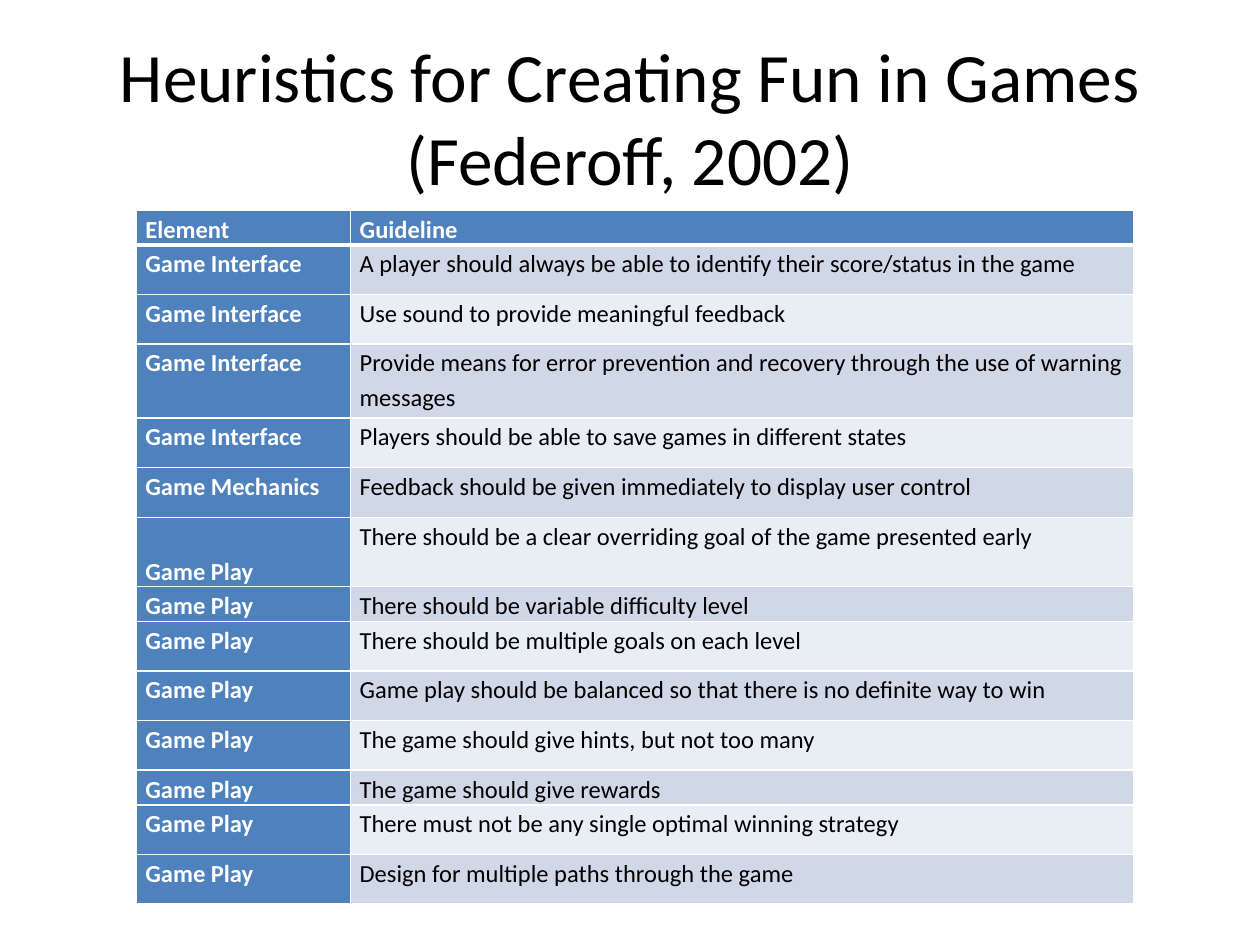
from lxml import etree
from pptx import Presentation
from pptx.dml.color import RGBColor
from pptx.enum.text import MSO_ANCHOR, PP_ALIGN
from pptx.oxml.ns import qn
from pptx.util import Cm, Pt

MIDDLE = MSO_ANCHOR.MIDDLE
TOP = MSO_ANCHOR.TOP
BOTTOM = MSO_ANCHOR.BOTTOM
CENTER = PP_ALIGN.CENTER

SHORT, REGULAR, LOW_LABEL, TWO_LINES = 0.7, 1.0, 1.4, 1.49
TITLE = "Heuristics for Creating Fun in Games (Federoff, 2002)"
GUIDELINES = [
    ("Element", "Guideline", SHORT),
    ("Game Interface", "A player should always be able to identify their score/status in the game", REGULAR),
    ("Game Interface", "Use sound to provide meaningful feedback", REGULAR),
    ("Game Interface", "Provide means for error prevention and recovery through the use of warning messages", TWO_LINES),
    ("Game Interface", "Players should be able to save games in different states", REGULAR),
    ("Game Mechanics", "Feedback should be given immediately to display user control", REGULAR),
    ("Game Play", "There should be a clear overriding goal of the game presented early", LOW_LABEL),
    ("Game Play", "There should be variable difficulty level", SHORT),
    ("Game Play", "There should be multiple goals on each level", REGULAR),
    ("Game Play", "Game play should be balanced so that there is no definite way to win", REGULAR),
    ("Game Play", "The game should give hints, but not too many", REGULAR),
    ("Game Play", "The game should give rewards", SHORT),
    ("Game Play", "There must not be any single optimal winning strategy", REGULAR),
    ("Game Play", "Design for multiple paths through the game", REGULAR),
]


def color(hex_string):
    return RGBColor.from_string(hex_string)


class SlideBuilder:
    font_name = "Calibri"
    dark, light, accent = "000000", "FFFFFF", "4F81BD"
    bands = ("E9EDF4", "D0D8E8")

    def __init__(self, slide):
        self.slide = slide

    def style_font(self, paragraph, size, hex_string, bold=False):
        font = paragraph.font
        font.name, font.size, font.bold = self.font_name, Pt(size), bold
        font.color.rgb = color(hex_string)

    def add_title(self, text, left, top, width, height):
        shape = self.slide.shapes.add_textbox(Cm(left), Cm(top), Cm(width), Cm(height))
        frame = shape.text_frame
        frame.word_wrap = True
        frame.vertical_anchor = MIDDLE
        paragraph = frame.paragraphs[0]
        paragraph.text = text
        paragraph.alignment = CENTER
        self.style_font(paragraph, 39.6, self.dark)

    def add_borders(self, cell, top, bottom):
        properties = cell._tc.get_or_add_tcPr()
        widths = {"a:lnL": 1, "a:lnR": 1, "a:lnT": top, "a:lnB": bottom}
        for position, (tag, width) in enumerate(widths.items()):
            line = etree.Element(qn(tag), w=str(Pt(width)))
            fill = etree.SubElement(line, qn("a:solidFill"))
            etree.SubElement(fill, qn("a:srgbClr"), val=self.light)
            properties.insert(position, line)

    def fill_cell(self, cell, text, row, is_label, anchor):
        accented = is_label or row == 0
        cell.text = text
        cell.margin_left = cell.margin_right = Cm(0.18)
        cell.margin_top = cell.margin_bottom = Cm(0)
        cell.vertical_anchor = anchor
        cell.fill.solid()
        cell.fill.fore_color.rgb = color(self.accent if accented else self.bands[row % 2])
        paragraph = cell.text_frame.paragraphs[0]
        paragraph.line_spacing = 1.15
        self.style_font(paragraph, 14, self.light if accented else self.dark, accented)
        self.add_borders(cell, 3 if row == 1 else 1, 3 if row == 0 else 1)

    def add_table(self, rows, left, top, column_widths):
        height = sum(row_height for _, _, row_height in rows)
        shape = self.slide.shapes.add_table(
            len(rows), len(column_widths), Cm(left), Cm(top), Cm(sum(column_widths)), Cm(height))
        table = shape.table
        table.first_col = True
        for column, width in zip(table.columns, column_widths):
            column.width = Cm(width)
        for index, (element, guideline, row_height) in enumerate(rows):
            table.rows[index].height = Cm(row_height)
            label_anchor = BOTTOM if row_height == LOW_LABEL else TOP
            self.fill_cell(table.cell(index, 0), element, index, True, label_anchor)
            self.fill_cell(table.cell(index, 1), guideline, index, False, TOP)


def main():
    presentation = Presentation()
    presentation.slide_width, presentation.slide_height = Cm(25.4), Cm(19.05)
    builder = SlideBuilder(presentation.slides.add_slide(presentation.slide_layouts[6]))
    builder.add_title(TITLE, 1.27, 0.76, 22.86, 3.18)
    builder.add_table(GUIDELINES, 2.75, 4.24, (4.32, 15.78))
    presentation.save("out.pptx")


if __name__ == "__main__":
    main()
